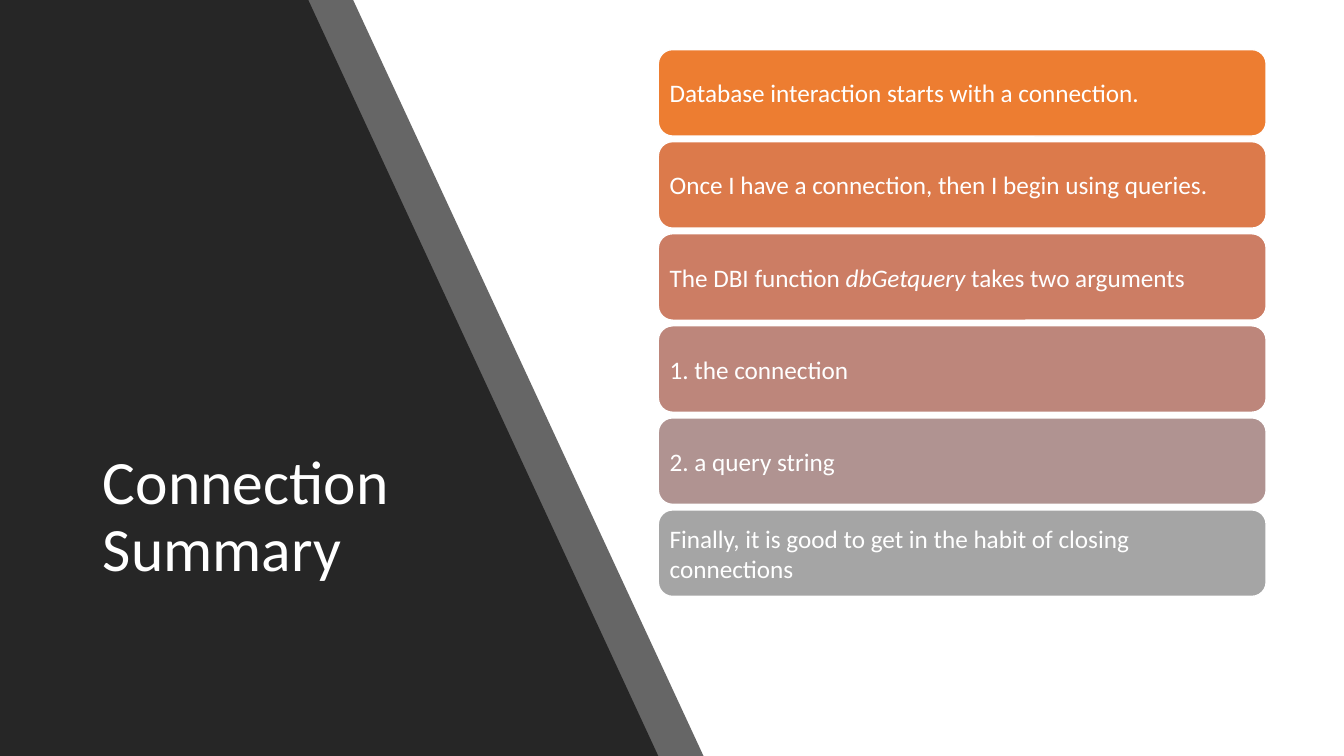
from lxml.etree import SubElement
from pptx import Presentation
from pptx.dml.color import RGBColor
from pptx.enum.shapes import MSO_SHAPE as Shape
from pptx.enum.text import MSO_ANCHOR as Anchor, MSO_AUTO_SIZE as Fit, PP_ALIGN as Align
from pptx.oxml.ns import qn
from pptx.util import Cm, Pt

TITLE = "Connection Summary"
# Each card: fill and text; text between asterisks is italic
CARDS = [
    ("ED7D31", "Database interaction starts with a connection."),
    ("DC7A4B", "Once I have a connection, then I begin using queries."),
    ("CC7D64", "The DBI function *dbGetquery* takes two arguments"),
    ("BD867B", "1. the connection"),
    ("B09391", "2. a query string"),
    ("A5A5A5", "Finally, it is good to get in the habit of closing connections"),
]
# Each panel: top width, bottom width (cm), opacity in percent
PANELS = [(8.9, 17.73, 70), (7.77, 16.59, 100)]
DARK, WHITE = "262626", "FFFFFF"
WIDE, HIGH = 33.87, 19.05
LEFT, TOP, CARD_W, CARD_H, PITCH = 16.59, 1.25, 15.32, 2.18, 2.32


def paint(target, color):
    target.solid()
    target.fore_color.rgb = RGBColor.from_string(color)


def write(shape, text, size=18, inset=None, spacing=1.0):
    frame = shape.text_frame
    frame.word_wrap = True
    frame.auto_size = Fit.NONE
    frame.vertical_anchor = Anchor.MIDDLE
    if inset is not None:
        frame.margin_left = frame.margin_right = Cm(inset)
        frame.margin_top = frame.margin_bottom = Cm(inset)
    para = frame.paragraphs[0]
    para.alignment = Align.LEFT
    para.line_spacing = spacing
    for i, part in enumerate(text.split("*")):
        run = para.add_run()
        run.text = part
        font = run.font
        font.name, font.size, font.italic = "Calibri", Pt(size), i % 2 == 1
        font.color.rgb = RGBColor.from_string(WHITE)


def add_panel(shapes, top, base, alpha):
    pen = shapes.build_freeform(0, Cm(HIGH))
    pen.add_line_segments([(Cm(base), Cm(HIGH)), (Cm(top), 0), (0, 0)])
    panel = pen.convert_to_shape()
    panel.shadow.inherit = False
    paint(panel.fill, DARK)
    panel.line.fill.background()
    if alpha < 100:
        color = panel.fill._xPr.find(qn("a:solidFill"))[0]
        SubElement(color, qn("a:alpha"), val=str(alpha * 1000))


def add_card(shapes, row, color, text):
    card = shapes.add_shape(Shape.ROUNDED_RECTANGLE, Cm(LEFT), Cm(TOP + row * PITCH),
                            Cm(CARD_W), Cm(CARD_H))
    card.shadow.inherit = False
    paint(card.fill, color)
    paint(card.line.fill, WHITE)
    card.line.width = Pt(1)
    write(card, text, inset=0.18)


def main():
    deck = Presentation()
    deck.slide_width, deck.slide_height = Cm(WIDE), Cm(HIGH)
    shapes = deck.slides.add_slide(deck.slide_layouts[5]).shapes
    for panel in PANELS:
        add_panel(shapes, *panel)

    title = shapes.title
    title.left, title.top, title.width, title.height = Cm(2.34), Cm(8.86), Cm(9.1), Cm(8.4)
    write(title, TITLE, size=44, spacing=0.9)
    shapes._spTree.append(title._element)  # bring the title in front of the panels

    for row, (color, text) in enumerate(CARDS):
        add_card(shapes, row, color, text)
    deck.save("out.pptx")


if __name__ == "__main__":
    main()
